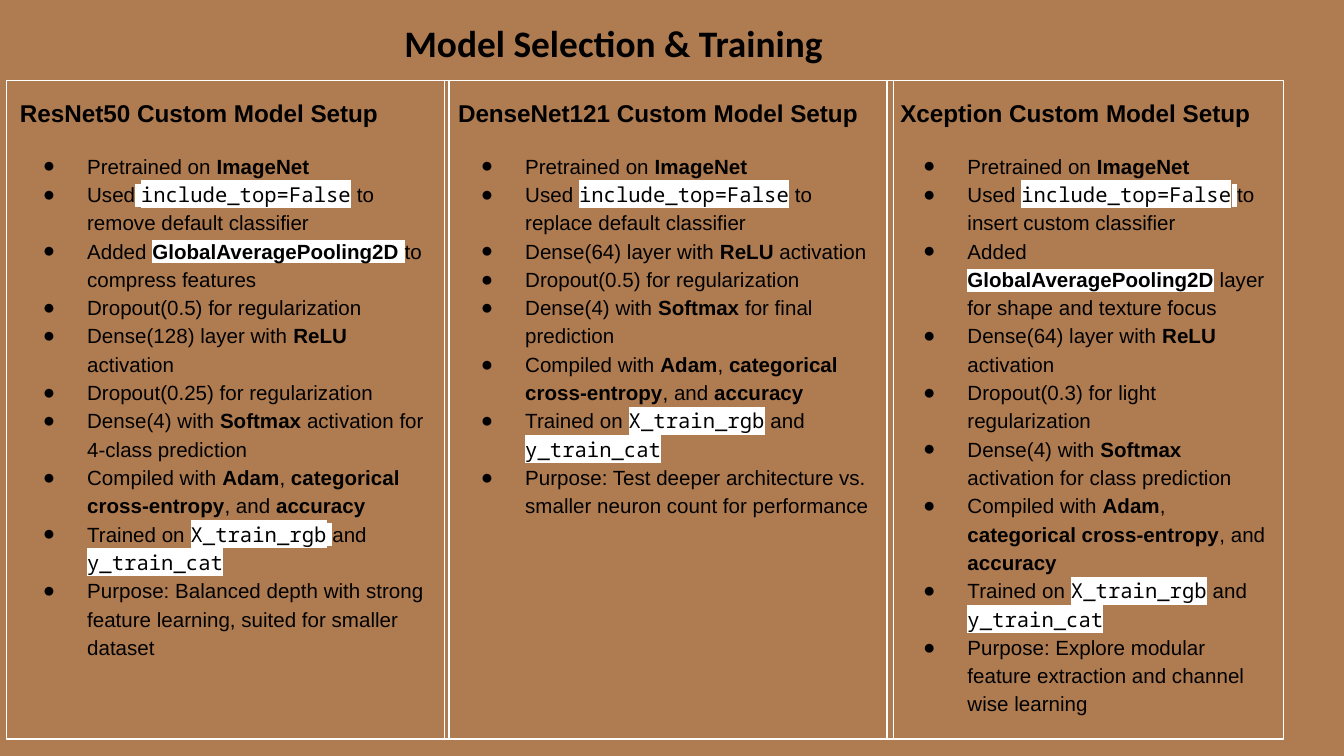
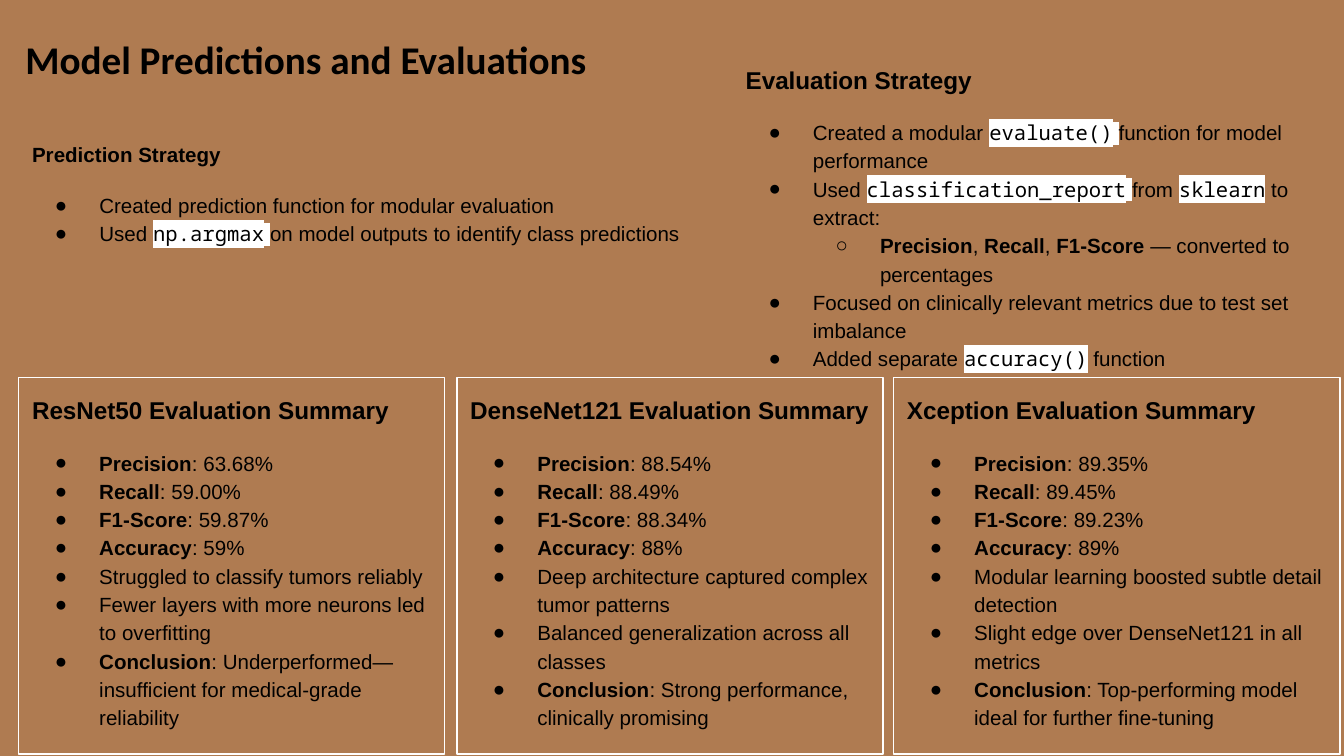
from itertools import groupby

from pptx import Presentation
from pptx.dml.color import RGBColor
from pptx.enum.shapes import MSO_SHAPE
from pptx.enum.text import MSO_ANCHOR, PP_ALIGN
from pptx.oxml import parse_xml
from pptx.oxml.ns import nsdecls, qn
from pptx.util import Inches, Pt

# Shared look
BROWN, BLACK, WHITE = "AF7B51", "000000", "FFFFFF"
SANS, MONO, TITLE_FONT = "Arial", "Noto Sans Mono", "Calibri"
BODY_SIZE, HEAD_SIZE = 11, 13
LINE_SPACING = 1.15

# Inline marks: *bold*, `code`, ~highlighted~
MARKS = {"*": "bold", "`": "code", "~": "light"}

# Bullets that recur between models
PRETRAINED = "Pretrained on *ImageNet*"
DROPOUT = "Dropout(0.5) for regularization"
DENSE_64 = "Dense(64) layer with *ReLU* activation"
COMPILED = "Compiled with *Adam*, *categorical cross-entropy*, and *accuracy*"
TRAINED = "Trained on `X_train_rgb` and `y_train_cat`"

# (left, width, heading, bullets)
SETUPS = [
    (0.05, 3.29, "ResNet50", [
        PRETRAINED,
        "Used~ ~`include_top=False` to remove default classifier",
        "Added ~*GlobalAveragePooling2D* ~to compress features",
        DROPOUT,
        "Dense(128) layer with *ReLU* activation",
        "Dropout(0.25) for regularization",
        "Dense(4) with *Softmax* activation for 4-class prediction",
        COMPILED,
        "Trained on `X_train_rgb`~ ~and `y_train_cat`",
        "Purpose: Balanced depth with strong feature learning, "
        "suited for smaller dataset",
    ]),
    (3.31, 3.34, "DenseNet121", [
        PRETRAINED,
        "Used `include_top=False` to replace default classifier",
        DENSE_64,
        DROPOUT,
        "Dense(4) with *Softmax* for final prediction",
        COMPILED,
        TRAINED,
        "Purpose: Test deeper architecture vs. smaller neuron count "
        "for performance",
    ]),
    (6.6, 2.95, "Xception", [
        PRETRAINED,
        "Used `include_top=False`~ ~to insert custom classifier",
        "Added ~*GlobalAveragePooling2D*~ layer for shape and texture focus",
        DENSE_64,
        "Dropout(0.3) for light regularization",
        "Dense(4) with *Softmax* activation for class prediction",
        COMPILED,
        TRAINED,
        "Purpose: Explore modular feature extraction and channel wise learning",
    ]),
]

METRICS = ["Precision", "Recall", "F1-Score", "Accuracy"]

# (left, width, heading, metric values, findings, conclusion)
SUMMARIES = [
    (0.14, 3.17, "ResNet50", ["63.68%", "59.00%", "59.87%", "59%"],
     ["Struggled to classify tumors reliably",
      "Fewer layers with more neurons led to overfitting"],
     "Underperformed—insufficient for medical-grade reliability"),
    (3.4, 3.17, "DenseNet121", ["88.54%", "88.49%", "88.34%", "88%"],
     ["Deep architecture captured complex tumor patterns",
      "Balanced generalization across all classes"],
     "Strong performance, clinically promising"),
    (6.65, 3.32, "Xception", ["89.35%", "89.45%", "89.23%", "89%"],
     ["Modular learning boosted subtle detail detection",
      "Slight edge over DenseNet121 in all metrics"],
     "Top-performing model ideal for further fine-tuning"),
]

PREDICTION = [
    "Created prediction function for modular evaluation",
    "Used `np.argmax`~ ~on model outputs to identify class predictions",
]

# A leading ">" marks a second-level bullet
EVALUATION = [
    "Created a modular `evaluate()`~ ~function for model performance",
    "Used `classification_report`~ ~from `sklearn` to extract:",
    ">*Precision*, *Recall*, *F1-Score* — converted to percentages",
    "Focused on clinically relevant metrics due to test set imbalance",
    "Added separate `accuracy()` function",
]


def rgb(color):
    return RGBColor.from_string(color)


def split_marks(text):
    """Yield (text, active marks) for each stretch of equal format."""
    active, chars = frozenset(), []
    for ch in text:
        if ch in MARKS:
            active ^= {MARKS[ch]}
        else:
            chars.append((ch, active))
    for marks, group in groupby(chars, key=lambda pair: pair[1]):
        yield "".join(ch for ch, _ in group), marks


def add_run(p, text, size, font=SANS, bold=False, light=False):
    r = p.add_run()
    r.text = text
    for name, value in {"size": Pt(size), "name": font, "bold": bold}.items():
        setattr(r.font, name, value)
    r.font.color.rgb = rgb(BLACK)
    if light:
        fill = r._r.get_or_add_rPr().find(qn("a:solidFill"))
        fill.addnext(parse_xml(
            f'<a:highlight {nsdecls("a")}><a:srgbClr val="{WHITE}"/></a:highlight>'))


def add_bullet(tf, text, space_before):
    p = tf.add_paragraph()
    level = int(text.startswith(">"))
    pPr = p._p.get_or_add_pPr()
    pPr.set("marL", str(Inches(0.5 * (level + 1))))
    pPr.set("indent", str(-Inches(0.33)))
    for tag in (f'<a:buClr {nsdecls("a")}><a:srgbClr val="{BLACK}"/></a:buClr>',
                f'<a:buFont {nsdecls("a")} typeface="{SANS}"/>',
                f'<a:buChar {nsdecls("a")} char="{"●○"[level]}"/>'):
        pPr.append(parse_xml(tag))
    formats = {"level": level, "alignment": PP_ALIGN.LEFT,
               "line_spacing": LINE_SPACING, "space_before": Pt(space_before)}
    for name, value in formats.items():
        setattr(p, name, value)
    for part, marks in split_marks(text.lstrip(">")):
        add_run(p, part, BODY_SIZE, MONO if "code" in marks else SANS,
                "bold" in marks, bool(marks & {"code", "light"}))


def fill_text(tf, heading, size, bullets=(), font=SANS):
    formats = {"word_wrap": True, "vertical_anchor": MSO_ANCHOR.TOP}
    formats.update({f"margin_{side}": Inches(0.1)
                    for side in ("left", "top", "right", "bottom")})
    for name, value in formats.items():
        setattr(tf, name, value)
    p = tf.paragraphs[0]
    p.alignment = PP_ALIGN.LEFT
    p.line_spacing = LINE_SPACING
    add_run(p, heading, size, font, bold=True)
    for i, bullet in enumerate(bullets):
        add_bullet(tf, bullet, 0 if i else 12)


def add_text(s, box, heading, size, bullets=(), font=SANS):
    sp = s.shapes.add_textbox(*map(Inches, box))
    fill_text(sp.text_frame, heading, size, bullets, font)


def add_card(s, box, heading, bullets):
    sp = s.shapes.add_shape(MSO_SHAPE.RECTANGLE, *map(Inches, box))
    sp.shadow.inherit = False
    sp.fill.background()
    sp.line.color.rgb = rgb(WHITE)
    sp.line.width = Pt(0.75)
    fill_text(sp.text_frame, heading, HEAD_SIZE, bullets)


def add_slide(prs, title, box, size):
    s = prs.slides.add_slide(prs.slide_layouts[6])
    s.background.fill.solid()
    s.background.fill.fore_color.rgb = rgb(BROWN)
    add_text(s, box, title, size, font=TITLE_FONT)
    return s


def build_training(prs):
    s = add_slide(prs, "Model Selection & Training", (2.91, 0, 4.46, 0.54), 20)
    for left, width, model, bullets in SETUPS:
        add_card(s, (left, 0.6, width, 4.9), f"{model} Custom Model Setup", bullets)


def build_evaluation(prs):
    s = add_slide(prs, "Model Predictions and Evaluations",
                  (0.09, 0.11, 5.87, 0.53), 21)
    add_text(s, (0.14, 0.93, 5.31, 1.87), "Prediction Strategy", BODY_SIZE, PREDICTION)
    for left, width, model, values, findings, conclusion in SUMMARIES:
        scores = [f"*{name}*: {value}" for name, value in zip(METRICS, values)]
        add_card(s, (left, 2.81, width, 2.8), f"{model} Evaluation Summary",
                 scores + findings + [f"*Conclusion*: {conclusion}"])
    add_text(s, (5.45, 0.35, 4.34, 2.51), "Evaluation Strategy", HEAD_SIZE, EVALUATION)


def main():
    prs = Presentation()
    # Widescreen, 16:9
    prs.slide_width = Inches(10)
    prs.slide_height = Inches(10 * 9 / 16)
    build_training(prs)
    build_evaluation(prs)
    prs.save("out.pptx")


if __name__ == "__main__":
    main()
